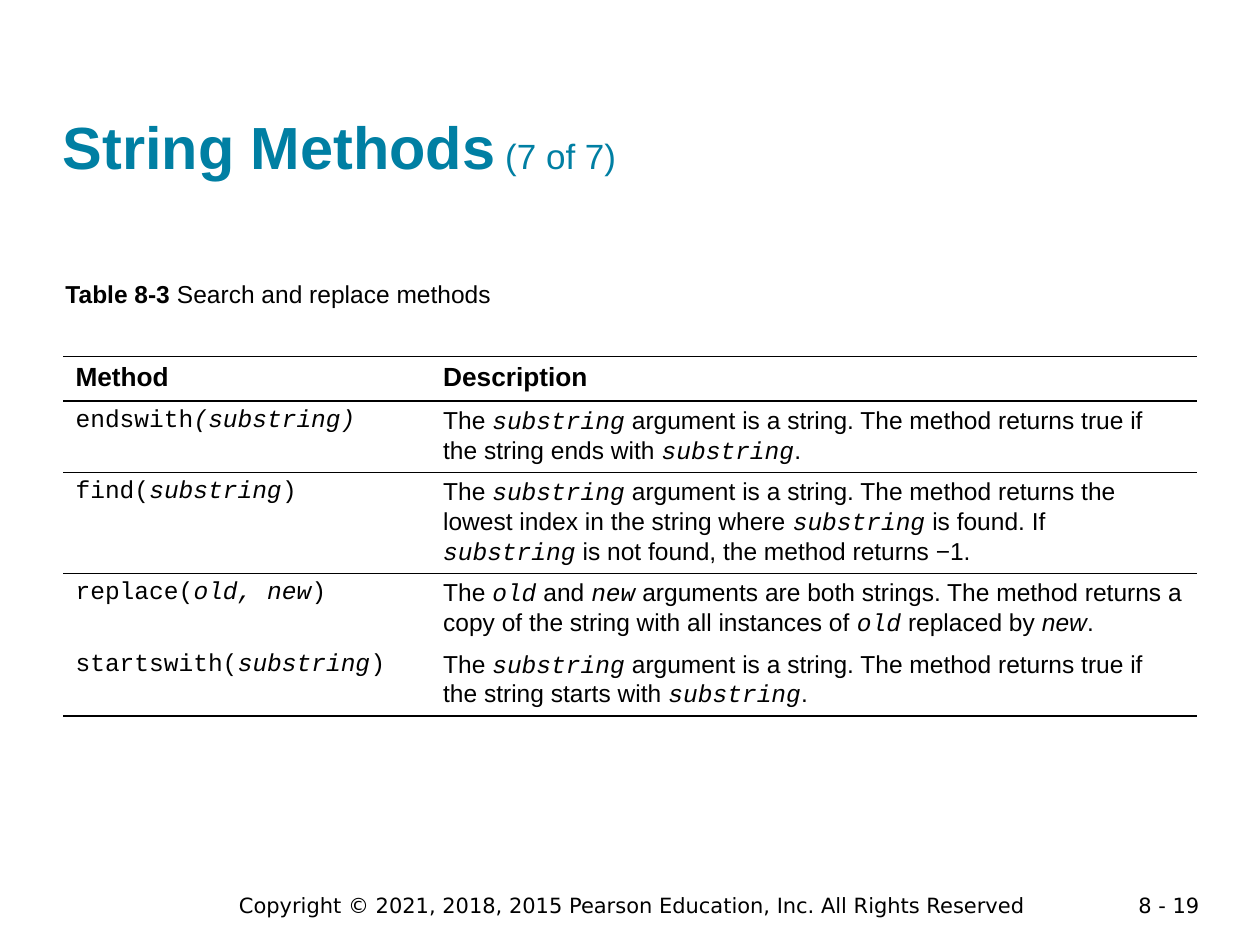
"""Builds the String Methods slide with its table of search and replace methods."""
from lxml import etree
from pptx import Presentation
from pptx.dml.color import RGBColor
from pptx.enum.text import MSO_ANCHOR, PP_ALIGN
from pptx.oxml.ns import qn
from pptx.util import Cm, Pt

LEFT, CENTER, RIGHT = PP_ALIGN.LEFT, PP_ALIGN.CENTER, PP_ALIGN.RIGHT
BOTTOM = MSO_ANCHOR.BOTTOM
PLAIN_TABLE = "{2D5ABB26-0587-4C30-8999-92F81FD0307C}"
BLACK, WHITE, TEAL = "000000", "FFFFFF", "007FA3"

FORMATS = {
    "title": {"name": "Arial", "size": Pt(34), "bold": True},
    "count": {"name": "Arial", "size": Pt(20), "bold": False},
    "label": {"name": "Arial", "size": Pt(14), "bold": True},
    "head": {"name": "Arial", "size": Pt(15), "bold": True},
    "body": {"name": "Arial", "size": Pt(14), "bold": False},
    "term": {"name": "Arial", "size": Pt(14), "italic": True},
    "code": {"name": "Courier New", "size": Pt(14), "bold": False},
    "arg": {"name": "Courier New", "size": Pt(14), "italic": True},
    "footer": {"name": "DejaVu Sans", "size": Pt(12)},
}


def color(value):
    return RGBColor.from_string(value)


def write(frame, spans, align=LEFT, ink=BLACK):
    para = frame.paragraphs[0]
    para.alignment = align
    for style, text in spans:
        span = para.add_run()
        span.text = text
        span.font.color.rgb = color(ink)
        for key, value in FORMATS[style].items():
            setattr(span.font, key, value)


deck = Presentation()
deck.slide_width, deck.slide_height = Cm(25.4), Cm(19.05)
page = deck.slides.add_slide(deck.slide_layouts[6])

title = page.shapes.add_textbox(Cm(1.27), Cm(0.61), Cm(22.86), Cm(3.05)).text_frame
for side in ("left", "top", "right", "bottom"):
    setattr(title, f"margin_{side}", 0)
title.word_wrap = True
title.vertical_anchor = BOTTOM
write(title, [("title", "String Methods"), ("count", " (7 of 7)")], ink=TEAL)

copyright_line = "Copyright © 2021, 2018, 2015 Pearson Education, Inc. All Rights Reserved"
caption = [("label", "Table 8-3 "), ("body", "Search and replace methods")]
boxes = [
    (1.07, 5.51, 9.12, 0.86, False, LEFT, caption),
    (4.17, 17.86, 17.15, 0.76, True, CENTER, [("footer", copyright_line)]),
    (21.89, 17.86, 2.54, 0.56, True, RIGHT, [("footer", "8 - 19")]),
]
for left, top, width, height, wrap, align, spans in boxes:
    box = page.shapes.add_textbox(Cm(left), Cm(top), Cm(width), Cm(height))
    box.text_frame.word_wrap = wrap
    write(box.text_frame, spans, align)

rows = [
    ([("head", "Method")], [("head", "Description")]),
    (
        [("code", "endswith"), ("arg", "(substring)")],
        [("body", "The "), ("arg", "substring"),
         ("body", " argument is a string. The method returns true if the string ends with "),
         ("arg", "substring"), ("body", ".")],
    ),
    (
        [("code", "find("), ("arg", "substring"), ("code", ")")],
        [("body", "The "), ("arg", "substring"),
         ("body", " argument is a string. The method returns the lowest index in the string where "),
         ("arg", "substring"), ("body", " is found. If "), ("arg", "substring"),
         ("body", " is not found, the method returns −1.")],
    ),
    (
        [("code", "replace("), ("arg", "old, new"), ("code", ")")],
        [("body", "The "), ("arg", "old"), ("body", " and "), ("arg", "new"),
         ("body", " arguments are both strings. The method returns a copy of the string "
                  "with all instances of "),
         ("arg", "old"), ("body", " replaced by "), ("term", "new"), ("body", ".")],
    ),
    (
        [("code", "startswith("), ("arg", "substring"), ("code", ")")],
        [("body", "The "), ("arg", "substring"),
         ("body", " argument is a string. The method returns true if the string starts with "),
         ("arg", "substring"), ("body", ".")],
    ),
]
row_heights = [0.84, 1.43, 2.03, 1.43, 1.43]
rules = [1, 1, 0.5, 0, 0, 1]

table = page.shapes.add_table(
    len(rows), 2, Cm(1.27), Cm(7.19), Cm(22.86), Cm(sum(row_heights))
).table
table.first_row = table.horz_banding = False
table._tbl.tblPr.find(qn("a:tableStyleId")).text = PLAIN_TABLE
for column, width in zip(table.columns, (7.41, 15.45)):
    column.width = Cm(width)

for index, (height, cells) in enumerate(zip(row_heights, rows)):
    table.rows[index].height = Cm(height)
    for cell, spans in zip(table.rows[index].cells, cells):
        write(cell.text_frame, spans)
        properties = cell._tc.get_or_add_tcPr()
        for edge, weight in (("a:lnT", rules[index]), ("a:lnB", rules[index + 1])):
            if weight:
                line = etree.SubElement(properties, qn(edge), w=str(Pt(weight)))
                paint = etree.SubElement(line, qn("a:solidFill"))
                etree.SubElement(paint, qn("a:srgbClr"), val=BLACK)
        cell.fill.solid()
        cell.fill.fore_color.rgb = color(WHITE)

deck.save("out.pptx")
